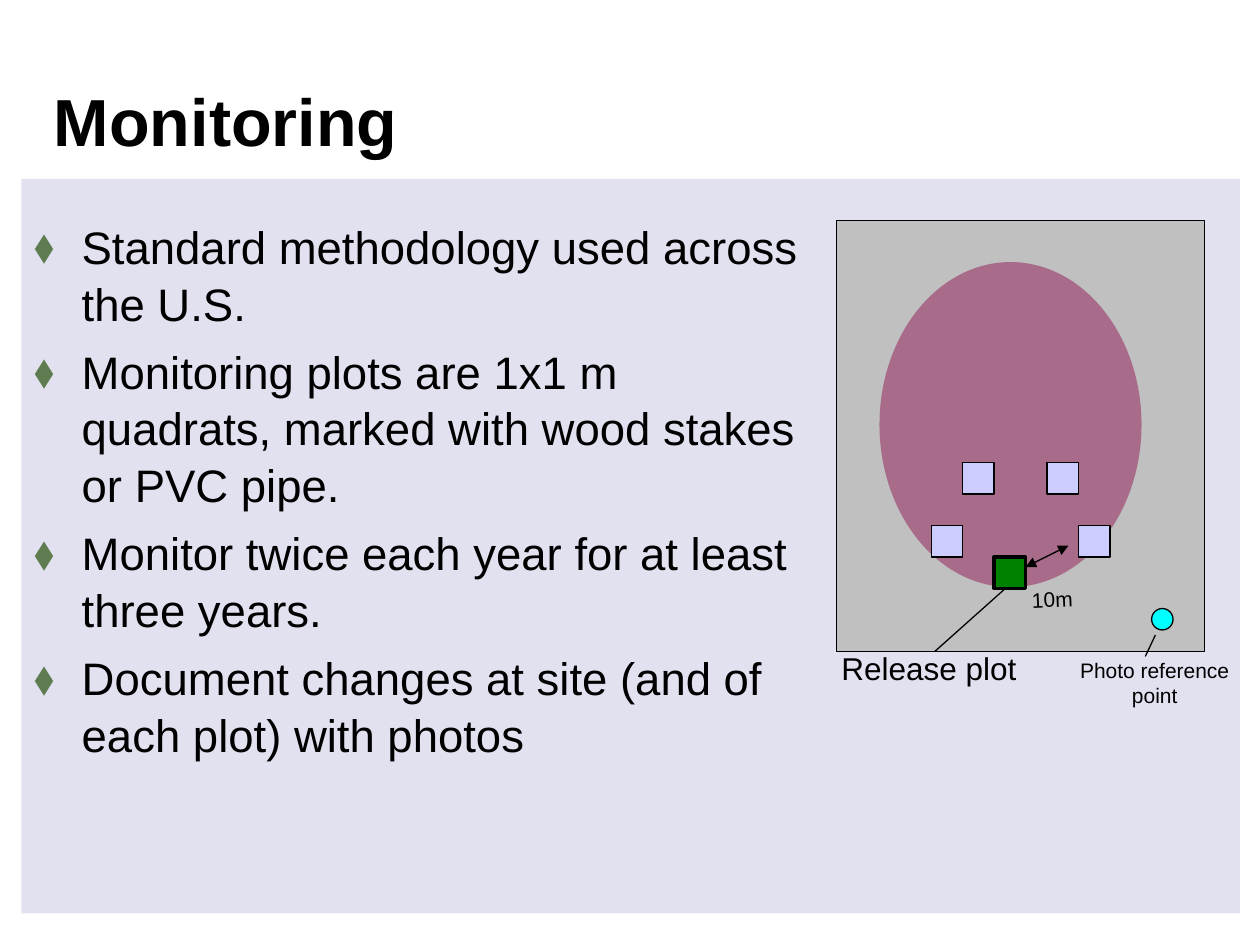
"""Build the Monitoring slide with its bullet list and plot diagram."""
from lxml import etree
from pptx import Presentation
from pptx.dml.color import RGBColor
from pptx.enum.shapes import MSO_CONNECTOR, MSO_SHAPE
from pptx.enum.text import MSO_ANCHOR, PP_ALIGN
from pptx.oxml.ns import qn
from pptx.util import Inches, Pt

RECT, OVAL = MSO_SHAPE.RECTANGLE, MSO_SHAPE.OVAL
STRAIGHT = MSO_CONNECTOR.STRAIGHT
TOP, MIDDLE = MSO_ANCHOR.TOP, MSO_ANCHOR.MIDDLE
LEFT, CENTER = PP_ALIGN.LEFT, PP_ALIGN.CENTER

BLACK = RGBColor(0x00, 0x00, 0x00)
LAVENDER = RGBColor(0xD9, 0xD8, 0xEC)
GREY = RGBColor(0xC0, 0xC0, 0xC0)
PLUM = RGBColor(0x99, 0x33, 0x66)
GREEN = RGBColor(0x00, 0x80, 0x00)
PERIWINKLE = RGBColor(0xCC, 0xCC, 0xFF)
CYAN = RGBColor(0x00, 0xFF, 0xFF)
BULLET_GREEN = RGBColor(0x5F, 0x7C, 0x50)

TITLE = "Monitoring"
BULLETS = [
    "Standard methodology used across the U.S.",
    "Monitoring plots are 1x1 m quadrats, marked with wood stakes or PVC pipe.",
    "Monitor twice each year for at least three years.",
    "Document changes at site (and of each plot) with photos",
]
QUADRAT = 0.25
QUADRAT_CORNERS = [(7.64, 3.67), (7.39, 4.17), (8.56, 4.17), (8.31, 3.67)]
RELEASE_CORNER = (7.89, 4.42)
RELEASE_LEADER = (7.98, 4.67, 7.42, 5.17)
DISTANCE_ARROW = (8.14, 4.5, 8.48, 4.33)
PHOTO_LEADER = (9.09, 5.21, 9.17, 5.04)


def add_figure(page, kind, area, color, line_width=None, opacity=None):
    figure = page.shapes.add_shape(kind, *map(Inches, area))
    figure.shadow.inherit = False
    figure.fill.solid()
    figure.fill.fore_color.rgb = color
    if opacity:
        fill_color = figure.fill._xPr.find(qn("a:solidFill"))[0]
        etree.SubElement(fill_color, qn("a:alpha"), val=str(opacity * 1000))
    if line_width:
        figure.line.color.rgb = BLACK
        figure.line.width = Pt(line_width)
    else:
        figure.line.fill.background()


def add_line(page, ends, arrows=False):
    line = page.shapes.add_connector(STRAIGHT, *map(Inches, ends))
    line.line.color.rgb = BLACK
    line.line.width = Pt(0.75)
    if arrows:
        outline = line.line._get_or_add_ln()
        for end in ("a:headEnd", "a:tailEnd"):
            etree.SubElement(outline, qn(end), type="triangle")
    etree.SubElement(line._element.spPr, qn("a:effectLst"))


def add_text(page, area, lines, size, bold=False, align=LEFT, anchor=TOP, wrap=True):
    box = page.shapes.add_textbox(*map(Inches, area))
    frame = box.text_frame
    frame.word_wrap = wrap
    frame.vertical_anchor = anchor
    font_values = {"name": "Arial", "size": Pt(size), "bold": bold}
    for index, text in enumerate(lines):
        para = frame.add_paragraph() if index else frame.paragraphs[0]
        para.alignment = align
        span = para.add_run()
        span.text = text
        for name, value in font_values.items():
            setattr(span.font, name, value)
        span.font.color.rgb = BLACK
    return box


def add_bullet(para):
    para.space_before = Pt(6.5)
    para.line_spacing = 1.04
    properties = para._p.get_or_add_pPr()
    properties.set("marL", str(Inches(0.38)))
    properties.set("indent", str(-Inches(0.38)))
    color = etree.SubElement(properties, qn("a:buClr"))
    etree.SubElement(color, qn("a:srgbClr"), val=str(BULLET_GREEN))
    etree.SubElement(properties, qn("a:buFont"), typeface="Arial")
    etree.SubElement(properties, qn("a:buChar"), char="⬧")


def main():
    deck = Presentation()
    deck.slide_width, deck.slide_height = Inches(10), Inches(7.5)
    page = deck.slides.add_slide(deck.slide_layouts[6])

    add_figure(page, RECT, (0.17, 1.42, 9.67, 5.83), LAVENDER, opacity=75)
    add_text(page, (0.33, 0.33, 9, 1.25), [TITLE], 38, bold=True, anchor=MIDDLE)
    body = add_text(page, (0.17, 1.67, 6.42, 4.96), BULLETS, 26)
    for para in body.text_frame.paragraphs:
        add_bullet(para)

    add_figure(page, RECT, (6.64, 1.75, 2.92, 3.42), GREY, 0.75)
    add_line(page, RELEASE_LEADER)
    add_text(page, (6.58, 5.1, 1.59, 0.4), ["Release plot"], 18, wrap=False)
    add_figure(page, OVAL, (6.98, 2.08, 2.08, 2.58), PLUM, opacity=60)
    add_figure(page, RECT, (*RELEASE_CORNER, QUADRAT, QUADRAT), GREEN, 2)
    for corner in QUADRAT_CORNERS:
        add_figure(page, RECT, (*corner, QUADRAT, QUADRAT), PERIWINKLE, 0.75)
    add_line(page, DISTANCE_ARROW, arrows=True)
    add_figure(page, OVAL, (9.14, 4.83, 0.17, 0.17), CYAN, 0.75)
    add_text(page, (8.33, 5.17, 1.67, 0.5), ["Photo reference point"], 12, align=CENTER)
    add_line(page, PHOTO_LEADER)
    distance = add_text(page, (8.09, 4.6, 0.68, 0.3), ["10m"], 12)
    distance.rotation = -2.7

    deck.save("out.pptx")


if __name__ == "__main__":
    main()
